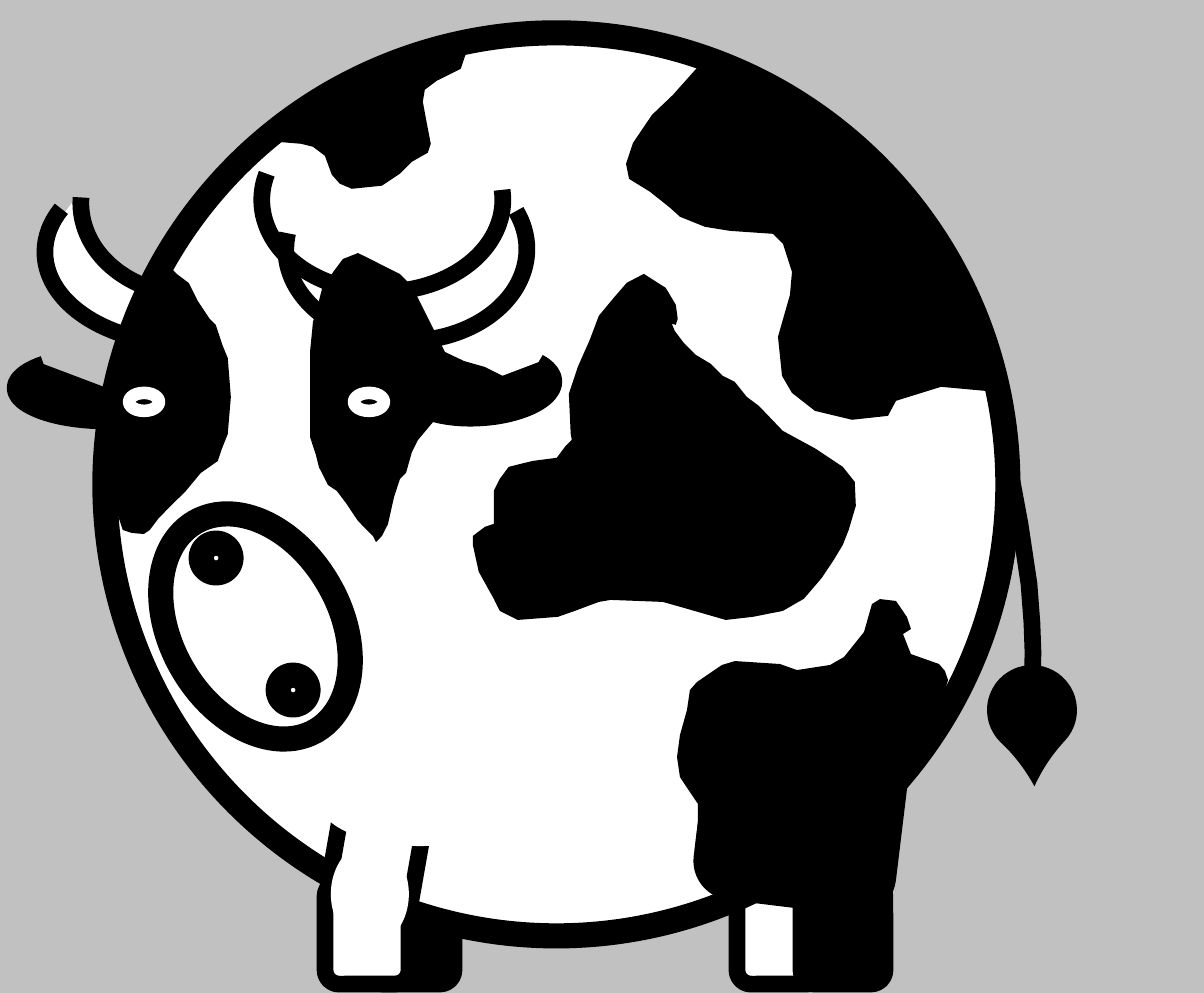
from pptx import Presentation
from pptx.dml.color import RGBColor
from pptx.enum.shapes import MSO_SHAPE
from pptx.oxml.ns import qn
from pptx.util import Pt

PX = 914400 / 301
BLACK, WHITE, GREY = "000000", "FFFFFF", "C1C1C1"
OVAL, ROUND, ARC = MSO_SHAPE.OVAL, MSO_SHAPE.ROUNDED_RECTANGLE, MSO_SHAPE.ARC

LEFT_HORN = [
    (99, 96), (84, 90), (69, 78), (54, 66), (42, 39), (39, 21), (36, 3), (27, 3), (18, 15),
    (6, 30), (0, 51), (3, 75), (9, 93), (24, 105), (36, 117), (60, 129), (75, 135), (93, 141),
    (93, 108)]
RIGHT_EYE_PATCH = [
    (135, 153), (160, 154), (181, 153), (193, 144), (202, 135), (199, 126), (175, 114),
    (154, 108), (135, 99), (126, 81), (117, 63), (105, 39), (102, 33), (90, 21), (72, 12),
    (60, 6), (48, 0), (33, 6), (24, 18), (12, 36), (9, 48), (3, 69), (0, 99), (0, 184),
    (6, 202), (9, 214), (18, 232), (27, 238), (36, 250), (48, 268), (63, 283), (66, 289),
    (72, 283), (78, 271), (84, 244), (90, 226), (96, 220), (102, 199), (108, 187), (123, 169)]
LEFT_EYE_PATCH = [
    (66, 0), (78, 12), (90, 21), (96, 33), (99, 39), (111, 57), (117, 63), (124, 84),
    (129, 96), (132, 135), (129, 172), (123, 187), (119, 199), (102, 211), (87, 229),
    (72, 244), (60, 256), (51, 268), (45, 272), (33, 271), (24, 268), (18, 250), (12, 238),
    (6, 217), (0, 199), (0, 187), (18, 93)]
RUMP = [
    (66, 0), (78, 0), (71, 8), (47, 35), (26, 55), (7, 83), (0, 104), (3, 119), (24, 132),
    (44, 148), (54, 157), (79, 167), (104, 171), (147, 174), (157, 184), (166, 212),
    (164, 235), (152, 277), (156, 316), (166, 333), (189, 351), (226, 360), (262, 356),
    (270, 341), (315, 327), (359, 331), (367, 331), (325, 208), (241, 93), (102, 0)]
FLANK = [
    (84, 184), (60, 187), (36, 193), (27, 205), (21, 217), (21, 250), (12, 253), (0, 262),
    (0, 271), (6, 298), (21, 325), (27, 337), (45, 346), (85, 343), (102, 337), (126, 328),
    (138, 326), (190, 328), (211, 334), (232, 340), (253, 346), (280, 343), (310, 337),
    (331, 325), (349, 304), (361, 286), (370, 271), (376, 256), (383, 232), (382, 208),
    (370, 193), (343, 175), (310, 157), (286, 132), (274, 123), (262, 108), (250, 102),
    (238, 90), (223, 81), (211, 69), (202, 57), (199, 50), (203, 51), (205, 45), (203, 31),
    (193, 14), (171, 0), (154, 9), (141, 24), (126, 42), (117, 66), (105, 93), (96, 120),
    (98, 160), (99, 166), (93, 172)]
SHOULDER = [
    (0, 99), (36, 102), (48, 105), (60, 114), (67, 133), (75, 142), (87, 147), (117, 144),
    (135, 132), (147, 120), (163, 111), (166, 102), (162, 81), (158, 60), (160, 48),
    (172, 39), (190, 30), (196, 27), (201, 12), (193, 0), (169, 3), (144, 12), (117, 27),
    (93, 42), (54, 60), (39, 75), (18, 81)]
HAUNCH = [
    (30, 241), (18, 250), (21, 223), (21, 205), (9, 187), (3, 178), (0, 158), (3, 136),
    (10, 111), (13, 91), (20, 83), (45, 66), (58, 62), (103, 65), (120, 71), (153, 66),
    (167, 58), (187, 33), (195, 5), (203, 0), (219, 2), (230, 18), (234, 30), (226, 35),
    (234, 55), (262, 65), (268, 72), (271, 81), (265, 102), (172, 253)]
TAIL = [(0, 0), (18, 96), (36, 193), (45, 253), (48, 292), (49, 322), (48, 361)]


def emu(pixels):
    """Turn pixels into EMU."""
    return round(pixels * PX)


def colour(hex_value):
    """Turn a hex string into a colour."""
    return RGBColor.from_string(hex_value)


def paint(part, fill, line, points):
    """Set fill and line; None leaves either out."""
    part.shadow.inherit = False
    for target, value in ((part.fill, fill), (part.line.fill, line)):
        if value is None:
            target.background()
        else:
            target.solid()
            target.fore_color.rgb = colour(value)
    if line:
        part.line.width = Pt(points)


def preset(slide, origin, kind, place, fill=None, line=BLACK, points=4, turn=0, adjust=(), flip=""):
    """Add a preset shape whose place is relative to the origin."""
    x, y, width, height = place
    part = slide.shapes.add_shape(
        kind, emu(origin[0] + x), emu(origin[1] + y), emu(width), emu(height))
    paint(part, fill, line, points)
    part.rotation = turn
    for index, value in enumerate(adjust):
        part.adjustments[index] = value
    for axis in flip:
        part.element.spPr.find(qn("a:xfrm")).set("flip" + axis, "1")


def arc(slide, origin, place, start, end, **looks):
    """Add an arc running between two angles in degrees."""
    preset(slide, origin, ARC, place, adjust=(start * 0.6, end * 0.6), **looks)


def outline(slide, origin, offset, points, fill=BLACK, line=None):
    """Add a freeform, closed when it has a fill."""
    builder = slide.shapes.build_freeform(*points[0], scale=PX)
    builder.add_line_segments(points[1:], close=fill is not None)
    part = builder.convert_to_shape(emu(origin[0] + offset[0]), emu(origin[1] + offset[1]))
    paint(part, fill, line, 4)


def eye(slide, origin, offset):
    """Draw an eye."""
    preset(slide, origin, OVAL, (*offset, 30, 18), BLACK, WHITE, 3)


def far_legs(slide, box):
    """Draw the two legs behind the body."""
    for x, fill in ((367, WHITE), (0, BLACK)):
        preset(slide, box, ROUND, (x, 0, 84, 102), fill)


def left_horn(slide, box):
    """Draw the horn behind the body."""
    outline(slide, box, (3, 85), LEFT_HORN, WHITE)
    arc(slide, box, (0, 49, 283, 184), 183.59, 19.08, flip="HV")
    arc(slide, box, (36, 0, 223, 184), 172.99, 2.91, flip="HV")


def body(slide, box):
    """Draw the round body."""
    preset(slide, box, OVAL, (0, 0, 903, 903), WHITE, points=6)


def muzzle(slide, box):
    """Draw the muzzle and nostrils."""
    for place in ((0, 0, 241, 169), (66, 1, 30, 30), (143, 133, 30, 30)):
        preset(slide, box, OVAL, place, WHITE, points=6, turn=60)


def right_face(slide, box):
    """Draw the right eye, horn and ear."""
    outline(slide, box, (48, 145), RIGHT_EYE_PATCH)
    eye(slide, box, (92, 285))
    arc(slide, box, (24, 49, 241, 184), 172.42, 19.08, flip="V")
    arc(slide, box, (0, 0, 241, 184), 167.25, 4.77, flip="V")
    arc(slide, box, (141, 244, 151, 66), 18.4, 197.6, fill=BLACK, turn=356.8, flip="H")


def left_face(slide, box):
    """Draw the left ear and eye."""
    arc(slide, box, (0, 93, 184, 66), 28.85, 200.68, fill=BLACK)
    outline(slide, box, (84, 0), LEFT_EYE_PATCH)
    eye(slide, box, (114, 131))


def spots(slide, box):
    """Draw the upper spots of the hide."""
    for offset, spot in (((361, 18), RUMP), ((208, 232), FLANK), ((0, 0), SHOULDER)):
        outline(slide, box, offset, spot)


def tail(slide, box):
    """Draw the tail and its tuft."""
    outline(slide, box, (0, 0), TAIL, None, BLACK)
    preset(slide, box, MSO_SHAPE.TEAR, (3, 334, 90, 90), BLACK, None, turn=133.2, adjust=(1.2,))


def hind_leg(slide, box):
    """Draw the near hind leg."""
    preset(slide, box, ROUND, (0, 0, 187, 205), BLACK, turn=7)
    preset(slide, box, ROUND, (91, 187, 84, 102), BLACK)


def front_leg(slide, box):
    """Draw the near front leg and blend it into the body."""
    preset(slide, box, ROUND, (15, 42, 84, 117), WHITE, turn=10)
    preset(slide, box, ROUND, (6, 126, 84, 102), WHITE)
    for place in ((0, 0, 202, 90), (12, 87, 78, 102)):
        preset(slide, box, OVAL, place, WHITE, None)


def haunch(slide, box):
    """Draw the spot over the hind leg."""
    outline(slide, box, (0, 0), HAUNCH)


def main():
    """Build the cow slide from back to front."""
    deck = Presentation()
    deck.slide_width, deck.slide_height = emu(1204), emu(993)
    slide = deck.slides.add_slide(deck.slide_layouts[6])
    slide.background.fill.solid()
    slide.background.fill.fore_color.rgb = colour(GREY)
    for region, box in (
            (far_legs, (370, 882)), (left_horn, (45, 111)), (body, (105, 33)),
            (muzzle, (135, 542)), (right_face, (262, 108)), (left_face, (15, 262)),
            (spots, (265, 42)), (tail, (984, 331)), (hind_leg, (710, 695)),
            (front_leg, (319, 756)), (haunch, (677, 599))):
        region(slide, box)
    deck.save("out.pptx")


main()
